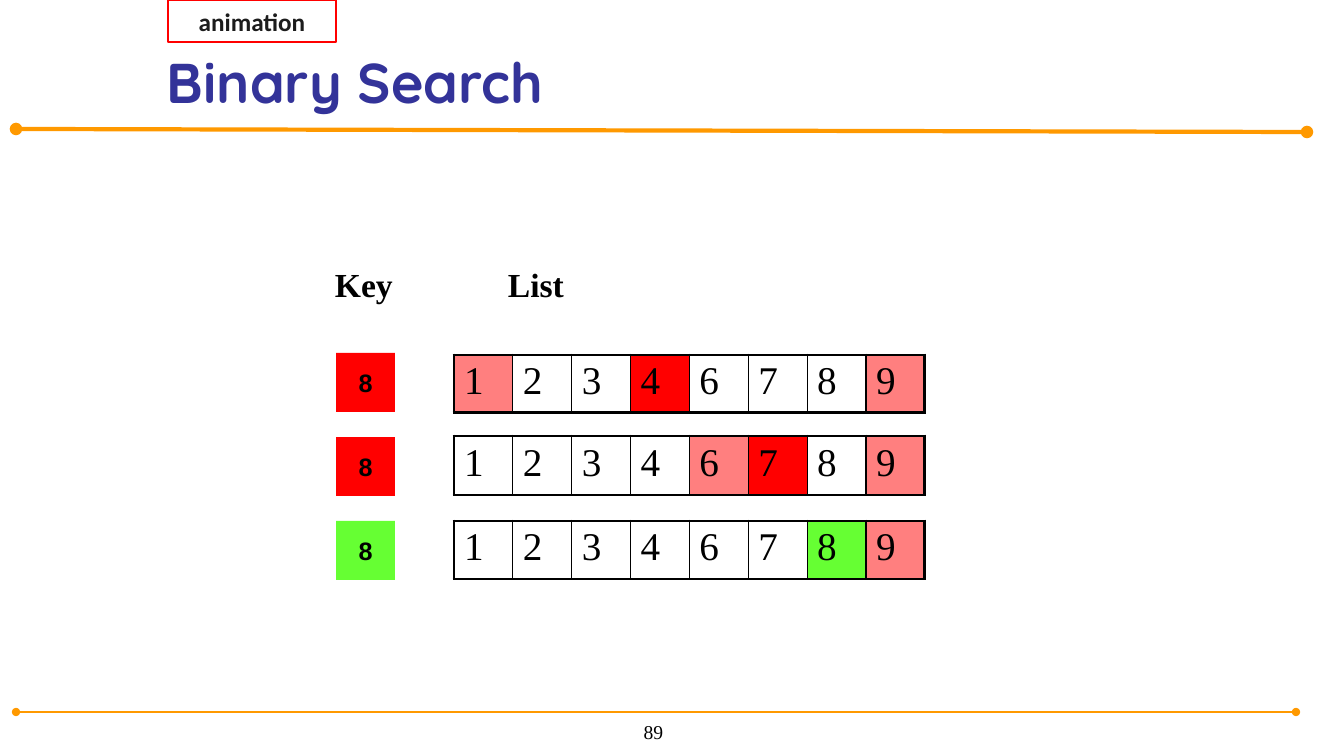
import lxml.etree
import pptx
import pptx.dml.color
import pptx.enum.shapes
import pptx.enum.text
import pptx.oxml.ns
import pptx.util

EMU_PER_PX = 914400 / 100.8
COLORS = {"black": "000000", "ink": "1C1C1C", "title": "333399",
          "orange": "FF9900", "red": "FF0000", "green": "66FF33"}
SERIF = "Times New Roman"
ANCHOR = pptx.enum.text.MSO_ANCHOR
ALIGN = pptx.enum.text.PP_ALIGN
qn = pptx.oxml.ns.qn


def px(*lengths):
    return [pptx.util.Emu(round(length * EMU_PER_PX)) for length in lengths]


def write(text_frame, text, size, font_name, color, bold=False,
          align=ALIGN.LEFT, anchor=ANCHOR.TOP, wrap=True):
    text_frame.word_wrap = wrap
    text_frame.vertical_anchor = anchor
    paragraph = text_frame.paragraphs[0]
    paragraph.alignment = align
    run = paragraph.add_run()
    run.text = text
    run.font.size = pptx.util.Pt(size)
    run.font.name = font_name
    run.font.bold = bold
    run.font.color.rgb = pptx.dml.color.RGBColor.from_string(COLORS[color])


presentation = pptx.Presentation()
presentation.slide_width, presentation.slide_height = px(1344, 756)
slide = presentation.slides.add_slide(presentation.slide_layouts[6])
shapes = slide.shapes

# Header and footer rules with round ends
for x1, y1, x2, y2, width in [(16, 129, 1307, 132, 3), (16, 712, 1296, 712, 1.5)]:
    rule = shapes.add_connector(pptx.enum.shapes.MSO_CONNECTOR.STRAIGHT,
                                *px(x1, y1, x2, y2))
    rule.line.width = pptx.util.Pt(width)
    rule.line.color.rgb = pptx.dml.color.RGBColor.from_string(COLORS["orange"])
    line = rule.line._get_or_add_ln()
    for end in ("a:headEnd", "a:tailEnd"):
        lxml.etree.SubElement(line, qn(end), type="oval")
    lxml.etree.SubElement(rule._element.spPr, qn("a:effectLst"))

# Page number, title and column headings
page_number = shapes.add_textbox(*px(441, 704, 425, 44))
write(page_number.text_frame, "89", 14, SERIF, "black",
      align=ALIGN.CENTER, anchor=ANCHOR.BOTTOM)
title = shapes.add_textbox(*px(157, 6, 1158, 114))
write(title.text_frame, "Binary Search", 40, "Quicksand", "title",
      bold=True, anchor=ANCHOR.BOTTOM)
for heading, left, width in [("Key", 325, 123), ("List", 498, 246)]:
    box = shapes.add_textbox(*px(left, 259, width, 50))
    write(box.text_frame, heading, 24, SERIF, "black", bold=True)

# Search steps: key color, table top, row height, {column: (color, opacity %)}
DIGITS = "12346789"
LAST = len(DIGITS) - 1
STEPS = [
    ("red", 355, 57, {0: ("red", 50), 3: ("red", 100), LAST: ("red", 50)}),
    ("red", 436, 59, {4: ("red", 50), 5: ("red", 100), LAST: ("red", 50)}),
    ("green", 521, 58, {6: ("green", 100), LAST: ("red", 50)}),
]
for step, (key_color, top, height, highlights) in enumerate(STEPS):
    # Key square
    key = shapes.add_shape(pptx.enum.shapes.MSO_SHAPE.RECTANGLE,
                           *px(336, 353 + 84 * step, 59, 59))
    key.shadow.inherit = False
    key.fill.solid()
    key.fill.fore_color.rgb = pptx.dml.color.RGBColor.from_string(COLORS[key_color])
    key.line.fill.background()
    write(key.text_frame, "8", 18, "Arial", "black", bold=True,
          align=ALIGN.CENTER, anchor=ANCHOR.MIDDLE, wrap=False)

    # List of numbers
    table = shapes.add_table(1, len(DIGITS), *px(454, top, 471, height)).table
    table.first_row = table.horz_banding = False
    for column, digit in enumerate(DIGITS):
        cell = table.cell(0, column)
        write(cell.text_frame, digit, 28, SERIF, "black")
        properties = cell._tc.get_or_add_tcPr()
        if column in highlights:
            color, opacity = highlights[column]
            cell.fill.solid()
            cell.fill.fore_color.rgb = pptx.dml.color.RGBColor.from_string(COLORS[color])
            if opacity < 100:
                fill_color = properties.find(".//" + qn("a:srgbClr"))
                lxml.etree.SubElement(fill_color, qn("a:alpha"), val=str(opacity * 1000))
        else:
            cell.fill.background()

        # Thick outer frame, thin dividers
        borders = [("a:lnL", 2.25 if column == 0 else 1),
                   ("a:lnR", 2.25 if column == LAST else 1),
                   ("a:lnT", 2.25), ("a:lnB", 2.25)]
        for position, (side, width) in enumerate(borders):
            border = lxml.etree.Element(qn(side), w=str(pptx.util.Pt(width)))
            border_fill = lxml.etree.SubElement(border, qn("a:solidFill"))
            lxml.etree.SubElement(border_fill, qn("a:srgbClr"), val=COLORS["black"])
            properties.insert(position, border)

# Animation label
label = shapes.add_shape(pptx.enum.shapes.MSO_SHAPE.RECTANGLE, *px(168, 0, 168, 42))
label.shadow.inherit = False
label.fill.background()
label.line.color.rgb = pptx.dml.color.RGBColor.from_string(COLORS["red"])
label.line.width = pptx.util.Pt(1)
write(label.text_frame, "animation", 18, "Calibri", "ink", bold=True,
      align=ALIGN.CENTER, anchor=ANCHOR.MIDDLE, wrap=False)

presentation.save("out.pptx")
